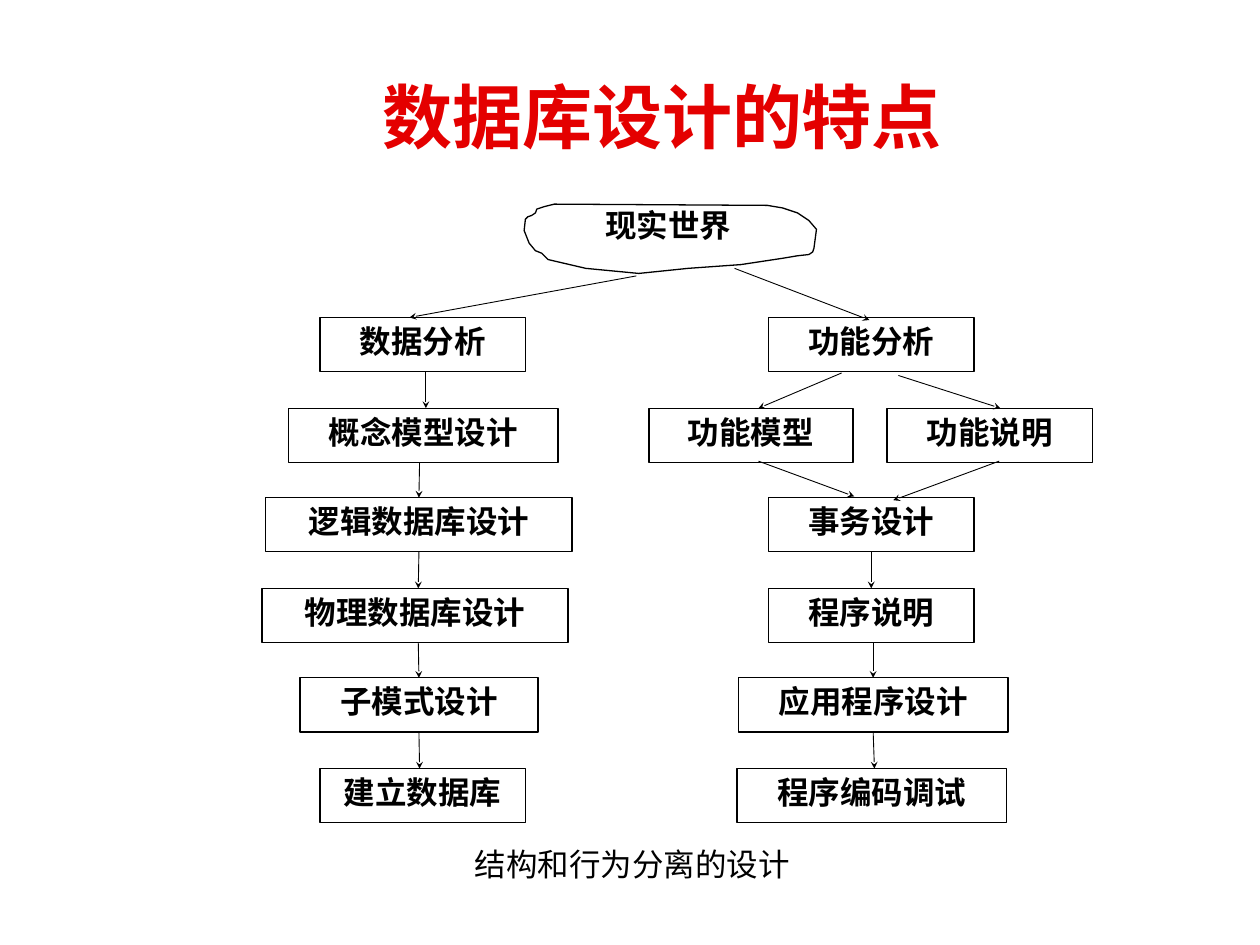
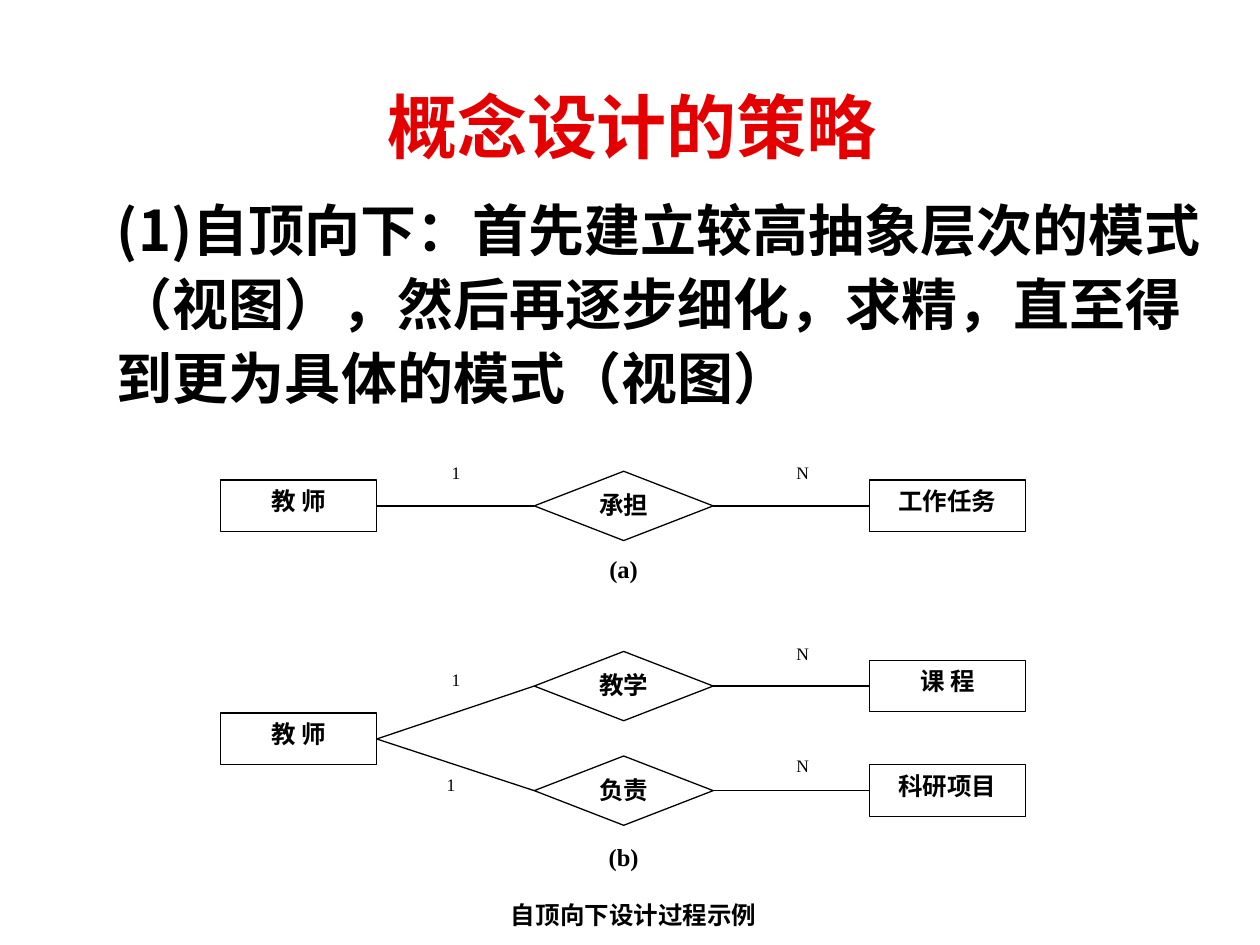
from typing import NamedTuple, Optional

from lxml import etree
from pptx import Presentation, util as u
from pptx.dml.color import RGBColor
from pptx.enum import shapes, text
from pptx.oxml.ns import qn

PX = 9144  # EMU in one px, 100 px to the inch
COLORS = {"title": "E40000", "ink": "000000", "paper": "FFFFFF"}
SERIF, CJK = "Times New Roman", "Noto Sans CJK SC"
RECT, DIAMOND = shapes.MSO_SHAPE.RECTANGLE, shapes.MSO_SHAPE.DIAMOND
TOP, MIDDLE = text.MSO_ANCHOR.TOP, text.MSO_ANCHOR.MIDDLE
SNAP = 1  # px between a line's end and the side it joins


class Style(NamedTuple):
    size: int
    font: str = SERIF
    bold: bool = True
    color: str = "ink"
    align: text.PP_ALIGN = text.PP_ALIGN.CENTER
    anchor: text.MSO_ANCHOR = TOP
    spacing: Optional[float] = None
    insets: tuple[int, int, int, int] = (10, 5, 10, 5)
    wrap: bool = True


class Node(NamedTuple):
    label: str
    x: int
    y: int
    w: int
    h: int
    kind: shapes.MSO_SHAPE = RECT


class Line(NamedTuple):
    x1: int
    y1: int
    x2: int
    y2: int
    width: float = 0.5


TITLE = Style(40, "Arial", color="title", anchor=MIDDLE)
STEP = Style(18, anchor=MIDDLE, spacing=0.8)
CLOUD = Style(18, spacing=0.8)
CAPTION = Style(18, bold=False, align=text.PP_ALIGN.LEFT, anchor=MIDDLE, wrap=False)
BODY = Style(32, CJK, align=text.PP_ALIGN.LEFT, spacing=1.1)
ENTITY = Style(14)
RELATION = Style(14, insets=(10, 1, 10, 5))
MARK = Style(14, insets=(0, 0, 0, 0))
CARDINALITY = MARK._replace(size=10, bold=False)

ROWS = [252, 324, 395, 467, 538, 610]
STEP_H = 43
STEPS = [
    Node(label, x, ROWS[row], w, STEP_H)
    for label, row, x, w in [
        ("数据分析", 0, 254, 163), ("概念模型设计", 1, 229, 214),
        ("逻辑数据库设计", 2, 211, 243), ("物理数据库设计", 3, 208, 243),
        ("子模式设计", 4, 238, 189), ("建立数据库", 5, 254, 163),
        ("功能分析", 0, 610, 163), ("功能模型", 1, 515, 162),
        ("功能说明", 1, 704, 163), ("事务设计", 2, 610, 163),
        ("程序说明", 3, 610, 163), ("应用程序设计", 4, 586, 214),
        ("程序编码调试", 5, 585, 214),
    ]
]
DOWN_ARROWS = [
    Line(x, ROWS[row] + STEP_H, x, ROWS[row + 1])
    for x, row in [(338, 0), (333, 1), (332, 2), (332, 3), (333, 4),
                   (692, 2), (693, 3), (694, 4)]
]
SLANTED_ARROWS = [
    Line(505, 219, 325, 252), Line(583, 213, 690, 254),
    Line(668, 296, 602, 324), Line(713, 298, 794, 324),
    Line(602, 366, 678, 394), Line(793, 366, 709, 397),
]
CLOUD_EDGE = [
    (426, 166), (432, 164), (440, 162), (609, 163), (621, 165), (633, 169),
    (642, 175), (648, 182), (646, 197), (645, 200), (642, 202), (633, 203),
    (621, 205), (588, 210), (546, 213), (507, 217), (465, 213), (435, 206),
    (430, 201), (425, 199), (420, 193), (416, 183), (417, 174), (419, 172),
    (422, 171), (425, 169),
]


def rgb(name: str) -> RGBColor:
    return RGBColor.from_string(COLORS[name])


def write(sp, label: str, style: Style) -> None:
    tf = sp.text_frame
    tf.word_wrap = style.wrap
    tf.vertical_anchor = style.anchor
    tf.margin_left, tf.margin_top, tf.margin_right, tf.margin_bottom = (
        i * PX for i in style.insets)
    p = tf.paragraphs[0]
    p.alignment = style.align
    if style.spacing:
        p.line_spacing = style.spacing
    r = p.add_run()
    r.text = label
    r.font.size = u.Pt(style.size)
    r.font.bold = style.bold
    r.font.color.rgb = rgb(style.color)
    r.font.name = style.font
    etree.SubElement(r.font._element, qn("a:ea"), typeface=CJK)


def add_text(s, label: str, x: int, y: int, w: int, h: int, style: Style) -> None:
    write(s.shapes.add_textbox(x * PX, y * PX, w * PX, h * PX), label, style)


def paint(sp, filled: bool, outlined: bool = True) -> None:
    sp.shadow.inherit = False
    if filled:
        sp.fill.solid()
        sp.fill.fore_color.rgb = rgb("paper")
    else:
        sp.fill.background()
    if outlined:
        sp.line.color.rgb = rgb("ink")
        sp.line.width = u.Pt(0.75)
    else:
        sp.line.fill.background()


def add_node(s, node: Node, style: Style, filled: bool = True, outlined: bool = True):
    sp = s.shapes.add_shape(node.kind, node.x * PX, node.y * PX, node.w * PX, node.h * PX)
    paint(sp, filled, outlined)
    write(sp, node.label, style)
    return sp


def find_site(nodes: list, x: int, y: int):
    """Return the shape and side whose middle lies at (x, y), if any."""
    for sp in nodes:
        cx, cy = sp.left + sp.width / 2, sp.top + sp.height / 2
        sites = [(cx, sp.top), (sp.left, cy), (cx, sp.top + sp.height), (sp.left + sp.width, cy)]
        for side, (sx, sy) in enumerate(sites):
            if max(abs(sx - x * PX), abs(sy - y * PX)) <= SNAP * PX:
                return sp, side
    return None


def add_line(s, line: Line, nodes: list, arrow: bool = False) -> None:
    cn = s.shapes.add_connector(shapes.MSO_CONNECTOR.STRAIGHT, line.x1 * PX, line.y1 * PX,
                                line.x2 * PX, line.y2 * PX)
    begin = find_site(nodes, line.x1, line.y1)
    end = find_site(nodes, line.x2, line.y2)
    if begin:
        cn.begin_connect(*begin)
    if end:
        cn.end_connect(*end)
    cn.line.color.rgb = rgb("ink")
    cn.line.width = u.Pt(line.width)
    if arrow:
        etree.SubElement(cn.line._get_or_add_ln(), qn("a:tailEnd"),
                         type="stealth", w="sm", len="sm")
    etree.SubElement(cn._element.spPr, qn("a:effectLst"))


def build_features(s) -> None:
    add_text(s, "数据库设计的特点", 138, 52, 775, 80, TITLE)
    fb = s.shapes.build_freeform(*CLOUD_EDGE[0], scale=PX)
    fb.add_line_segments(CLOUD_EDGE[1:], close=True)
    paint(fb.convert_to_shape(), False)
    add_text(s, "现实世界", 452, 164, 157, 51, CLOUD)
    nodes = [add_node(s, step, STEP, filled=False) for step in STEPS]
    for arrow in DOWN_ARROWS + SLANTED_ARROWS:
        add_line(s, arrow, nodes, arrow=True)
    add_text(s, "结构和行为分离的设计", 367, 666, 275, 40, CAPTION)


def build_strategy(s) -> None:
    add_text(s, "(1)自顶向下：首先建立较高抽象层次的模式（视图），然后再逐步细化，"
                "求精，直至得到更为具体的模式（视图）", 83, 145, 882, 515, BODY)

    nodes, lines = [], []
    for y in (381, 566):
        nodes.append(add_node(s, Node("教 师", 175, y, 124, 41), ENTITY))
    for relation, entity, y, teacher_y in [("承担", "工作任务", 401, 401),
                                           ("教学", "课 程", 544, 586),
                                           ("负责", "科研项目", 627, 586)]:
        nodes.append(add_node(s, Node(relation, 424, y - 27, 142, 55, DIAMOND), RELATION))
        nodes.append(add_node(s, Node(entity, 690, y - 20, 124, 41), ENTITY))
        lines += [Line(299, teacher_y, 424, y, 0.75), Line(566, y, 690, y, 0.75)]
    for line in lines:
        add_line(s, line, nodes)

    for label, x, y in [("1", 344, 367), ("N", 619, 367), ("1", 344, 531),
                        ("N", 619, 510), ("1", 340, 614), ("N", 619, 599)]:
        add_node(s, Node(label, x, y, 36, 27), CARDINALITY, outlined=False)
    for label, y in [("(a)", 440), ("(b)", 668)]:
        add_node(s, Node(label, 477, y, 36, 27), MARK, outlined=False)
    add_node(s, Node("自顶向下设计过程示例", 352, 709, 302, 41), ENTITY, outlined=False)
    add_text(s, "概念设计的策略", 114, 60, 775, 80, TITLE)


def main() -> None:
    prs = Presentation()
    prs.slide_width, prs.slide_height = 1000 * PX, 750 * PX
    for build in (build_features, build_strategy):
        build(prs.slides.add_slide(prs.slide_layouts[6]))
    prs.save("out.pptx")


if __name__ == "__main__":
    main()
